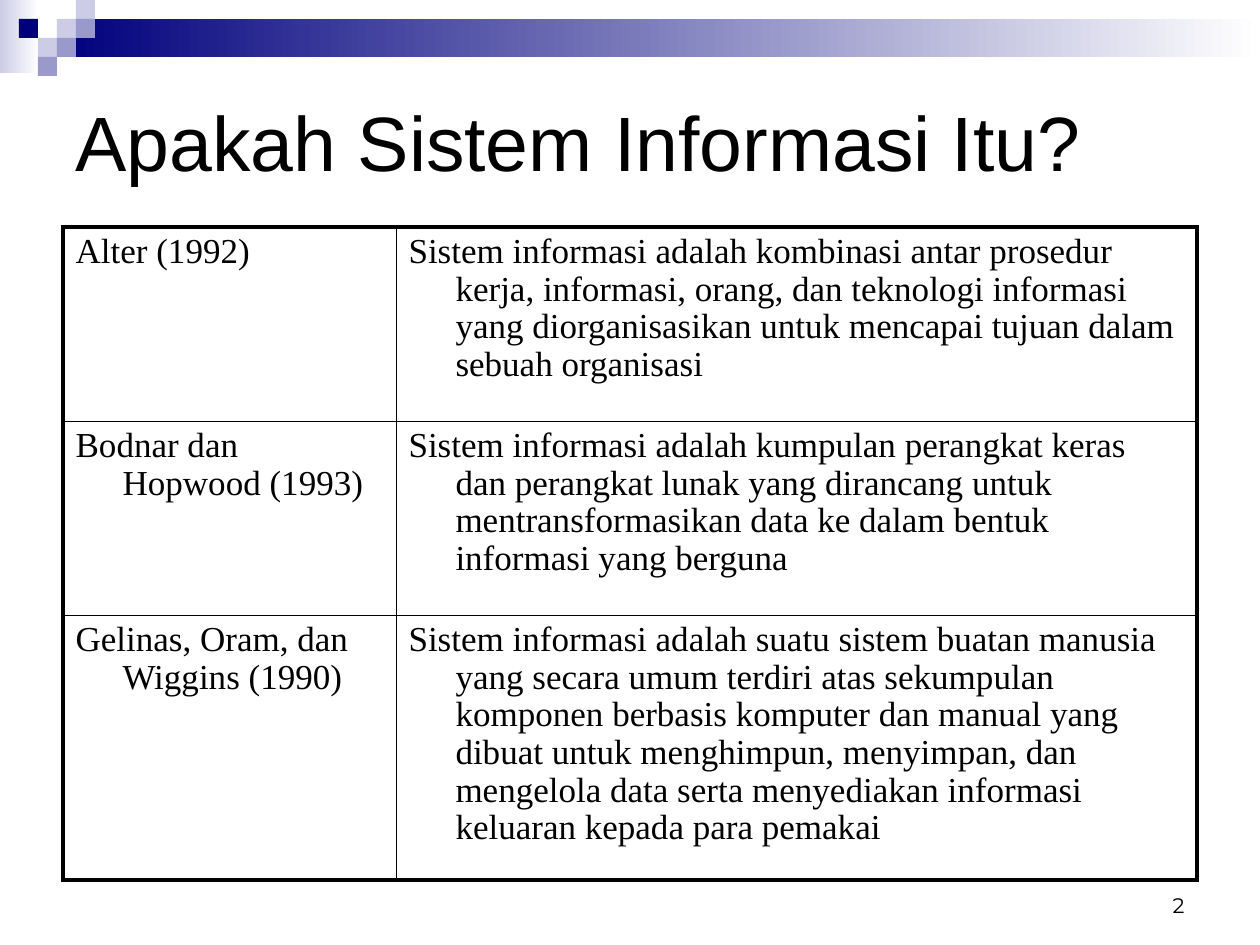
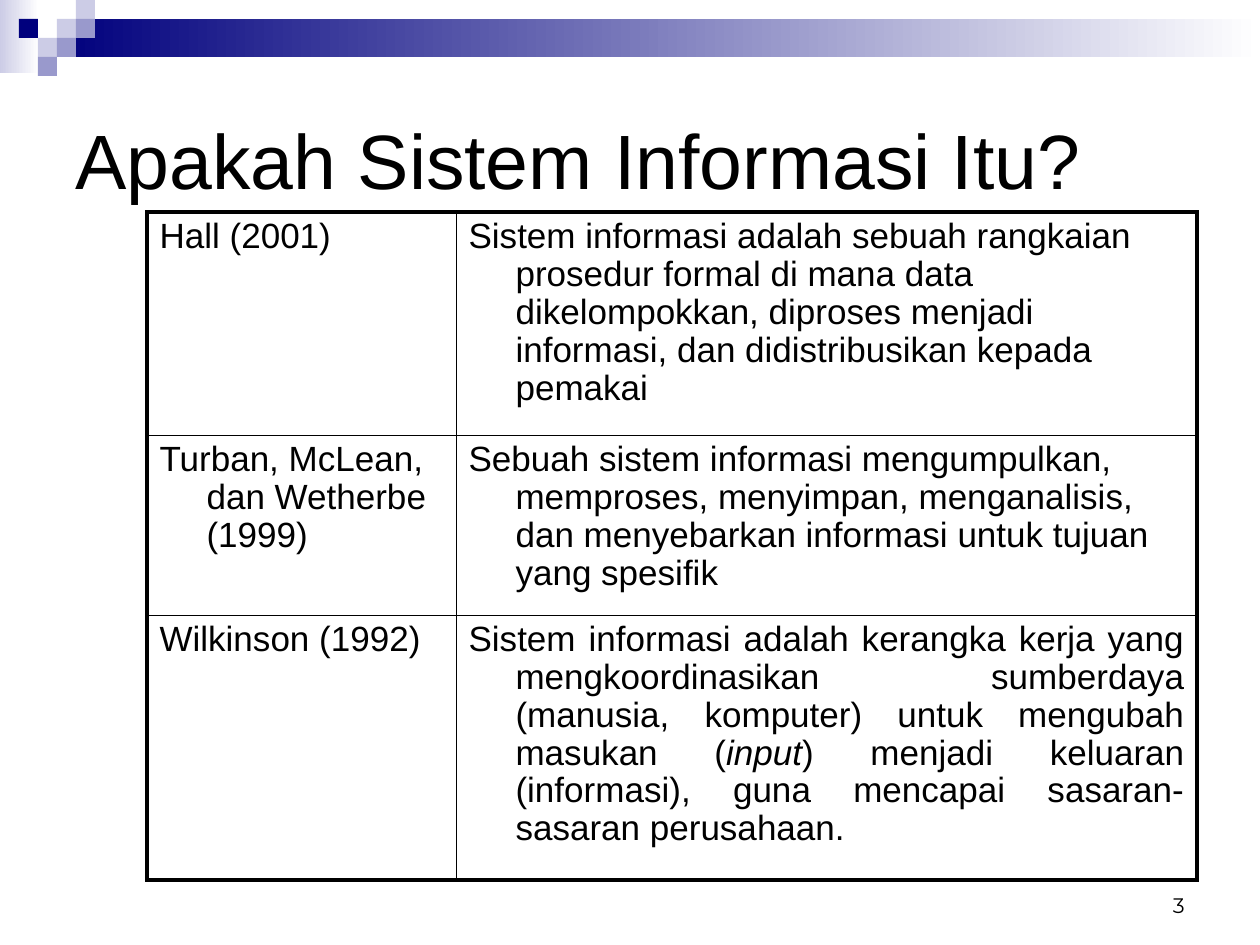
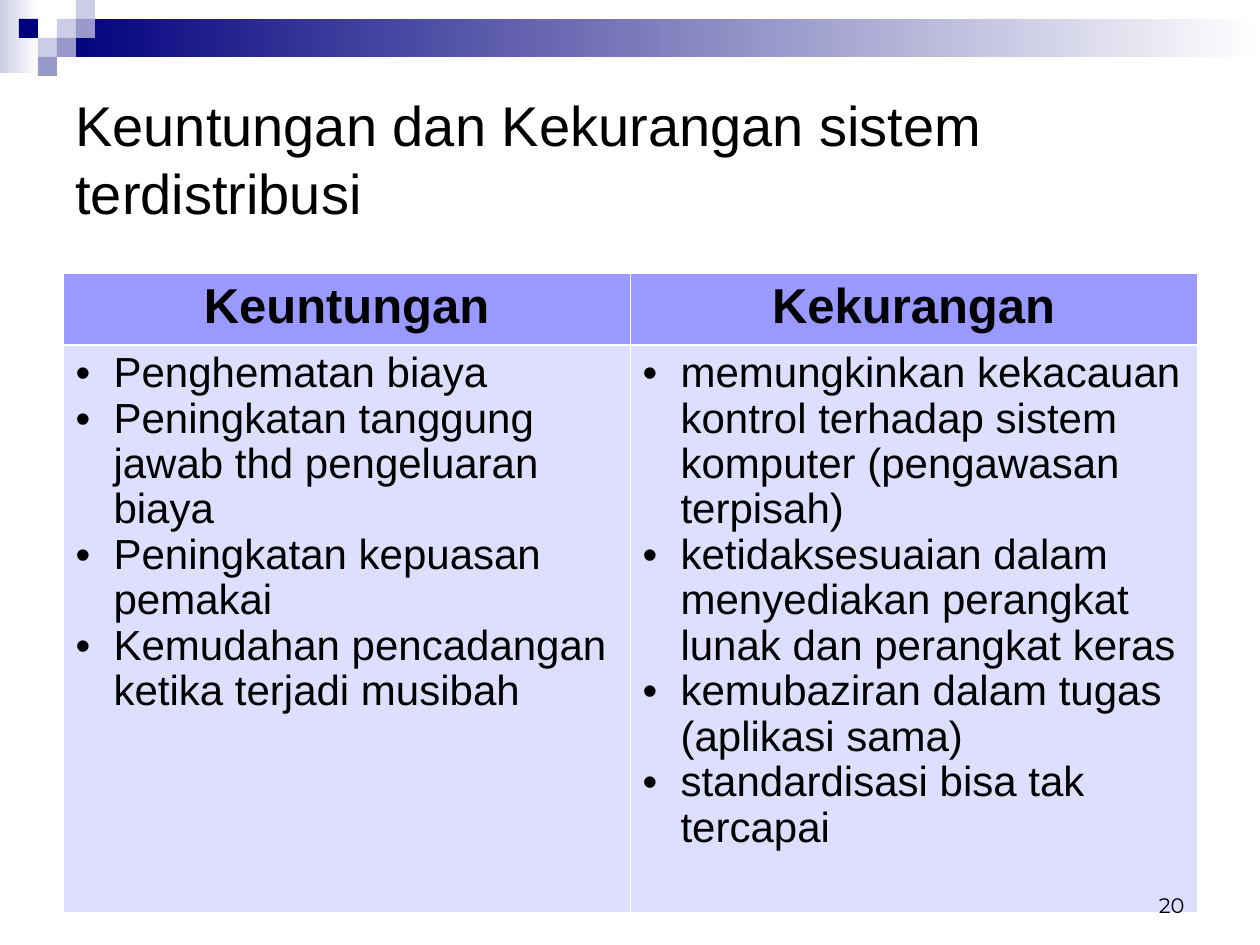
from lxml import etree
from pptx import Presentation
from pptx.dml.color import RGBColor
from pptx.enum.shapes import MSO_SHAPE
from pptx.enum.text import MSO_ANCHOR, PP_ALIGN
from pptx.oxml import parse_xml
from pptx.oxml.ns import nsdecls, qn
from pptx.util import Emu, Pt

HUE = {
    "ink": "000000", "white": "FFFFFF", "navy": "00007D",
    "mist": "CCCCE6", "haze": "9999CC", "head": "9999FF", "body": "DEDEFF",
}
UNIT = 19  # side of one small square


def px(n):
    return Emu(round(n * 914400 / 126))


def write(frame, text, size, font="Arial", bold=False, align=PP_ALIGN.LEFT,
          hang=0, bullet=False, space=None):
    """Fill a frame: one paragraph a line, words between asterisks in italics."""
    frame.word_wrap = True
    for i, line in enumerate(text.split("\n")):
        para = frame.paragraphs[0] if i == 0 else frame.add_paragraph()
        para.alignment = align
        if space:
            para.line_spacing = space
        props = para._p.get_or_add_pPr()
        props.set("marL", str(px(hang)))
        props.set("indent", str(-px(hang)))
        if bullet:
            etree.SubElement(props, qn("a:buFont")).set("typeface", "Arial")
            etree.SubElement(props, qn("a:buChar")).set("char", "•")
        for j, part in enumerate(line.split("*")):
            run = para.add_run()
            run.text = part
            run.font.size = Pt(size)
            run.font.name = font
            run.font.bold = bold
            run.font.italic = j % 2 == 1
            run.font.color.rgb = RGBColor.from_string(HUE["ink"])


# Shared band: left, top, width, height, colour, fades to white
BAND = [
    (0, 0, 39, 73, "mist", True),
    (3 * UNIT, UNIT, 1260 - 3 * UNIT, 2 * UNIT, "navy", True),
]
for col, row, hue in [(3, 1, "mist"), (4, 0, "mist"), (4, 1, "haze"), (2, 2, "mist"),
                      (1, 1, "navy"), (3, 2, "haze"), (2, 3, "haze")]:
    BAND.append((col * UNIT, row * UNIT, UNIT, UNIT, hue, False))

# Table looks: line colour and widths, then text style and fill for each row
QUOTE = {"line": "ink", "outer": 2.5, "across": 0.45, "down": 0.45}
LIST = {"line": "white", "outer": 0.45, "across": 1.47, "down": 0.45}
SERIF = {"size": 20, "font": "Times New Roman", "hang": 47, "space": 0.97}
SANS = {"size": 20, "hang": 47, "space": 0.97}
HEAD = {"size": 28, "bold": True, "align": PP_ALIGN.CENTER}
ITEMS = {"size": 24, "hang": 38, "bullet": True, "space": 0.97}

SLIDES = [
    {
        "title": "Apakah Sistem Informasi Itu?", "size": 44, "top": 45, "page": "2",
        "at": (63, 227), "cols": [333, 801], "rows": [194, 194, 265],
        "look": QUOTE, "styles": [SERIF] * 3, "fills": [None] * 3,
        "cells": [
            ("Alter (1992)",
             "Sistem informasi adalah kombinasi antar prosedur kerja, informasi, orang, "
             "dan teknologi informasi yang diorganisasikan untuk mencapai tujuan dalam "
             "sebuah organisasi"),
            ("Bodnar dan Hopwood (1993)",
             "Sistem informasi adalah kumpulan perangkat keras dan perangkat lunak yang "
             "dirancang untuk mentransformasikan data ke dalam bentuk informasi yang "
             "berguna"),
            ("Gelinas, Oram, dan Wiggins (1990)",
             "Sistem informasi adalah suatu sistem buatan manusia yang secara umum "
             "terdiri atas sekumpulan komponen berbasis komputer dan manual yang dibuat "
             "untuk menghimpun, menyimpan, dan mengelola data serta menyediakan "
             "informasi keluaran kepada para pemakai"),
        ],
    },
    {
        "title": "Apakah Sistem Informasi Itu?", "size": 44, "top": 63, "page": "3",
        "at": (147, 212), "cols": [309, 741], "rows": [223, 180, 265],
        "look": QUOTE, "styles": [SANS] * 3, "fills": [None] * 3, "justify": (2, 1),
        "cells": [
            ("Hall (2001)",
             "Sistem informasi adalah sebuah rangkaian prosedur formal di mana data "
             "dikelompokkan, diproses menjadi informasi, dan didistribusikan kepada "
             "pemakai"),
            ("Turban, McLean, dan Wetherbe (1999)",
             "Sebuah sistem informasi mengumpulkan, memproses, menyimpan, menganalisis, "
             "dan menyebarkan informasi untuk tujuan yang spesifik"),
            ("Wilkinson (1992)",
             "Sistem informasi adalah kerangka kerja yang mengkoordinasikan sumberdaya "
             "(manusia, komputer) untuk mengubah masukan (*input*) menjadi keluaran "
             "(informasi), guna mencapai sasaran-sasaran perusahaan."),
        ],
    },
    {
        "title": "Keuntungan dan Kekurangan sistem terdistribusi", "size": 32,
        "top": 63, "page": "20",
        "at": (63, 273), "cols": [567, 567], "rows": [72, 567],
        "look": LIST, "styles": [HEAD, ITEMS], "fills": ["head", "body"],
        "cells": [
            ("Keuntungan", "Kekurangan"),
            ("Penghematan biaya\n"
             "Peningkatan tanggung jawab thd pengeluaran biaya\n"
             "Peningkatan kepuasan pemakai\n"
             "Kemudahan pencadangan ketika terjadi musibah",
             "memungkinkan kekacauan kontrol terhadap sistem komputer "
             "(pengawasan terpisah)\n"
             "ketidaksesuaian dalam menyediakan perangkat lunak dan perangkat keras\n"
             "kemubaziran dalam tugas (aplikasi sama)\n"
             "standardisasi bisa tak tercapai"),
        ],
    },
]

deck = Presentation()
deck.slide_width, deck.slide_height = px(1260), px(945)

for data in SLIDES:
    slide = deck.slides.add_slide(deck.slide_layouts[6])
    shapes = slide.shapes

    # Band and squares
    for left, top, width, height, hue, fades in BAND:
        tile = shapes.add_shape(MSO_SHAPE.RECTANGLE, px(left), px(top), px(width), px(height))
        tile.shadow.inherit = False
        tile.line.fill.background()
        if fades:
            tile.fill.gradient()
            tile.fill.gradient_angle = 0
            for stop, name in zip(tile.fill.gradient_stops, (hue, "white")):
                stop.color.rgb = RGBColor.from_string(HUE[name])
        else:
            tile.fill.solid()
            tile.fill.fore_color.rgb = RGBColor.from_string(HUE[hue])

    # Title
    title = shapes.add_textbox(px(63), px(data["top"]), px(1134), px(189))
    title.text_frame.vertical_anchor = MSO_ANCHOR.MIDDLE
    write(title.text_frame, data["title"], data["size"], space=1.02)

    # Table
    cols, rows, look = data["cols"], data["rows"], data["look"]
    left, top = data["at"]
    table = shapes.add_table(len(rows), len(cols), px(left), px(top),
                             px(sum(cols)), px(sum(rows))).table
    table.first_row = table.horz_banding = False
    for c, width in enumerate(cols):
        table.columns[c].width = px(width)
    for r, height in enumerate(rows):
        table.rows[r].height = px(height)
        for c, text in enumerate(data["cells"][r]):
            cell = table.cell(r, c)
            write(cell.text_frame, text, **data["styles"][r])
            if data.get("justify") == (r, c):
                cell.text_frame.paragraphs[0].alignment = PP_ALIGN.JUSTIFY
            if data["fills"][r]:
                cell.fill.solid()
                cell.fill.fore_color.rgb = RGBColor.from_string(HUE[data["fills"][r]])
            else:
                cell.fill.background()

            # Borders: the outer frame differs from the inner lines
            edges = [("L", c == 0, "down"), ("R", c == len(cols) - 1, "down"),
                     ("T", r == 0, "across"), ("B", r == len(rows) - 1, "across")]
            for i, (side, outer, inner) in enumerate(edges):
                wide = Pt(look["outer" if outer else inner])
                cell._tc.get_or_add_tcPr().insert(i, parse_xml(
                    f'<a:ln{side} {nsdecls("a")} w="{wide}"><a:solidFill>'
                    f'<a:srgbClr val="{HUE[look["line"]]}"/></a:solidFill></a:ln{side}>'))

    # Page number
    page = shapes.add_textbox(px(903), px(861), px(294), px(63))
    page.text_frame.vertical_anchor = MSO_ANCHOR.BOTTOM
    write(page.text_frame, data["page"], 12, "Montserrat", align=PP_ALIGN.RIGHT)

deck.save("out.pptx")
